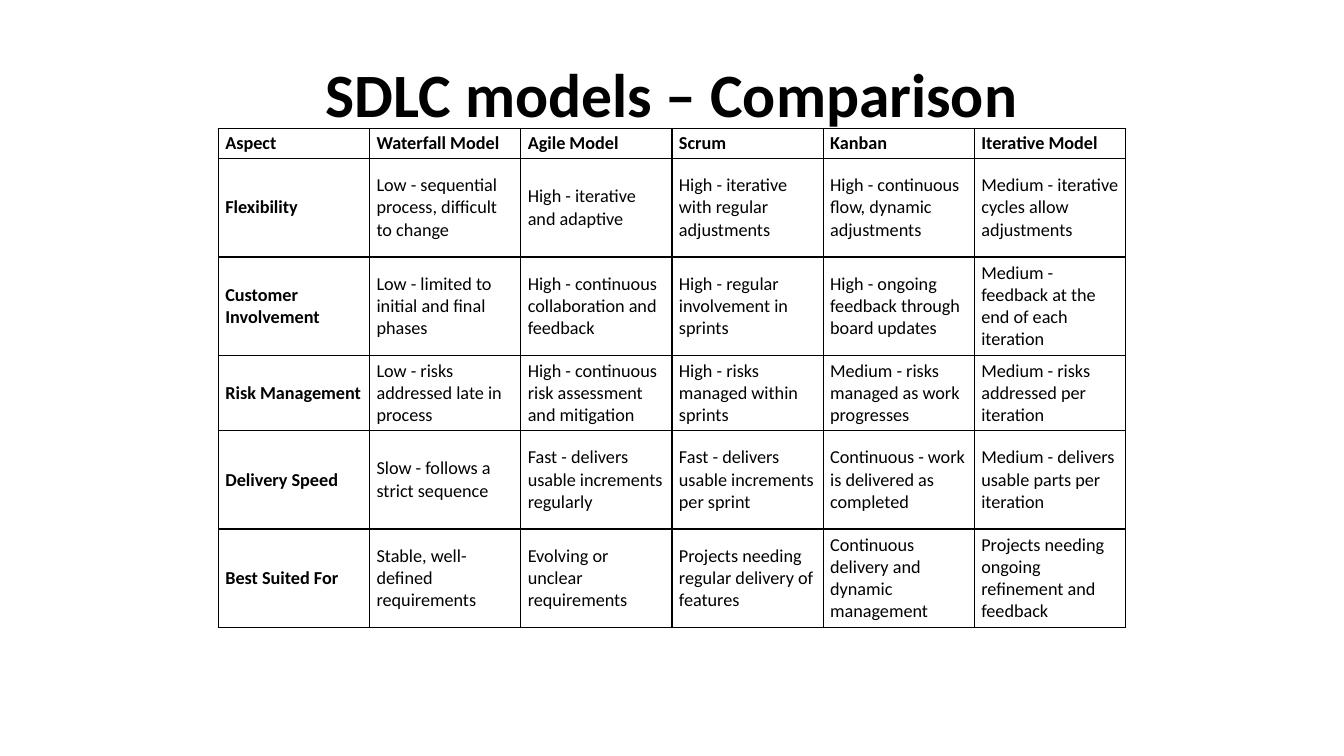
from dataclasses import dataclass
from typing import Any

from lxml.etree import SubElement
from pptx import Presentation
from pptx.dml.color import RGBColor
from pptx.enum.text import MSO_ANCHOR, PP_ALIGN
from pptx.oxml.ns import qn
from pptx.util import Pt

COLUMN_WIDTH = 108
HEADER_HEIGHT, TALL, SHORT = 21.2, 70.4, 53.6
ROW_HEIGHTS = [HEADER_HEIGHT, TALL, TALL, SHORT, TALL, TALL]

COMPARISON = [
    ["Aspect", "Waterfall Model", "Agile Model", "Scrum", "Kanban", "Iterative Model"],
    ["Flexibility",
     "Low - sequential process, difficult to change",
     "High - iterative and adaptive",
     "High - iterative with regular adjustments",
     "High - continuous flow, dynamic adjustments",
     "Medium - iterative cycles allow adjustments"],
    ["Customer Involvement",
     "Low - limited to initial and final phases",
     "High - continuous collaboration and feedback",
     "High - regular involvement in sprints",
     "High - ongoing feedback through board updates",
     "Medium - feedback at the end of each iteration"],
    ["Risk Management",
     "Low - risks addressed late in process",
     "High - continuous risk assessment and mitigation",
     "High - risks managed within sprints",
     "Medium - risks managed as work progresses",
     "Medium - risks addressed per iteration"],
    ["Delivery Speed",
     "Slow - follows a strict sequence",
     "Fast - delivers usable increments regularly",
     "Fast - delivers usable increments per sprint",
     "Continuous - work is delivered as completed",
     "Medium - delivers usable parts per iteration"],
    ["Best Suited For",
     "Stable, well-defined requirements",
     "Evolving or unclear requirements",
     "Projects needing regular delivery of features",
     "Continuous delivery and dynamic management",
     "Projects needing ongoing refinement and feedback"],
]


def color(value):
    return RGBColor.from_string(value)


@dataclass
class SlideBuilder:
    page: Any
    font: str = "Calibri"
    ink: str = "000000"
    title_size: float = 44
    cell_size: float = 13
    border_width: float = 1

    def style_text(self, frame, size, bold, align):
        for para in frame.paragraphs:
            para.alignment = align
            for span in para.runs:
                span.font.name = self.font
                span.font.size = Pt(size)
                span.font.bold = bold
                span.font.color.rgb = color(self.ink)

    def title(self, text, left, top, width, height):
        box = self.page.shapes.add_textbox(Pt(left), Pt(top), Pt(width), Pt(height))
        frame = box.text_frame
        frame.word_wrap = True
        frame.vertical_anchor = MSO_ANCHOR.MIDDLE
        frame.text = text
        self.style_text(frame, self.title_size, True, PP_ALIGN.CENTER)

    def border(self, cell):
        properties = cell._tc.get_or_add_tcPr()
        for side in ("a:lnL", "a:lnR", "a:lnT", "a:lnB"):
            line = SubElement(properties, qn(side), w=str(Pt(self.border_width)))
            fill = SubElement(line, qn("a:solidFill"))
            SubElement(fill, qn("a:srgbClr"), val=self.ink)

    def cell(self, cell, text, bold):
        cell.text_frame.text = text
        cell.vertical_anchor = MSO_ANCHOR.MIDDLE
        cell.margin_left = cell.margin_right = Pt(5)
        cell.margin_top = cell.margin_bottom = Pt(2.5)
        self.style_text(cell.text_frame, self.cell_size, bold, PP_ALIGN.LEFT)
        self.border(cell)
        cell.fill.background()

    def table(self, rows, left, top, column_width, row_heights):
        """Draw a bordered table with a bold first row and first column."""
        column_count = len(rows[0])
        table = self.page.shapes.add_table(
            len(rows), column_count, Pt(left), Pt(top),
            Pt(column_width * column_count), Pt(sum(row_heights))).table
        table.horz_banding = False
        table.first_row = False
        for column in table.columns:
            column.width = Pt(column_width)
        for r, (texts, height) in enumerate(zip(rows, row_heights)):
            table.rows[r].height = Pt(height)
            for c, text in enumerate(texts):
                self.cell(table.cell(r, c), text, bold=r == 0 or c == 0)


def main():
    deck = Presentation()
    deck.slide_width, deck.slide_height = Pt(960), Pt(540)
    page = deck.slides.add_slide(deck.slide_layouts[6])
    builder = SlideBuilder(page)
    builder.title("SDLC models – Comparison", 48, 21.6, 864, 90)
    builder.table(COMPARISON, 156, 92, COLUMN_WIDTH, ROW_HEIGHTS)
    deck.save("out.pptx")


if __name__ == "__main__":
    main()
